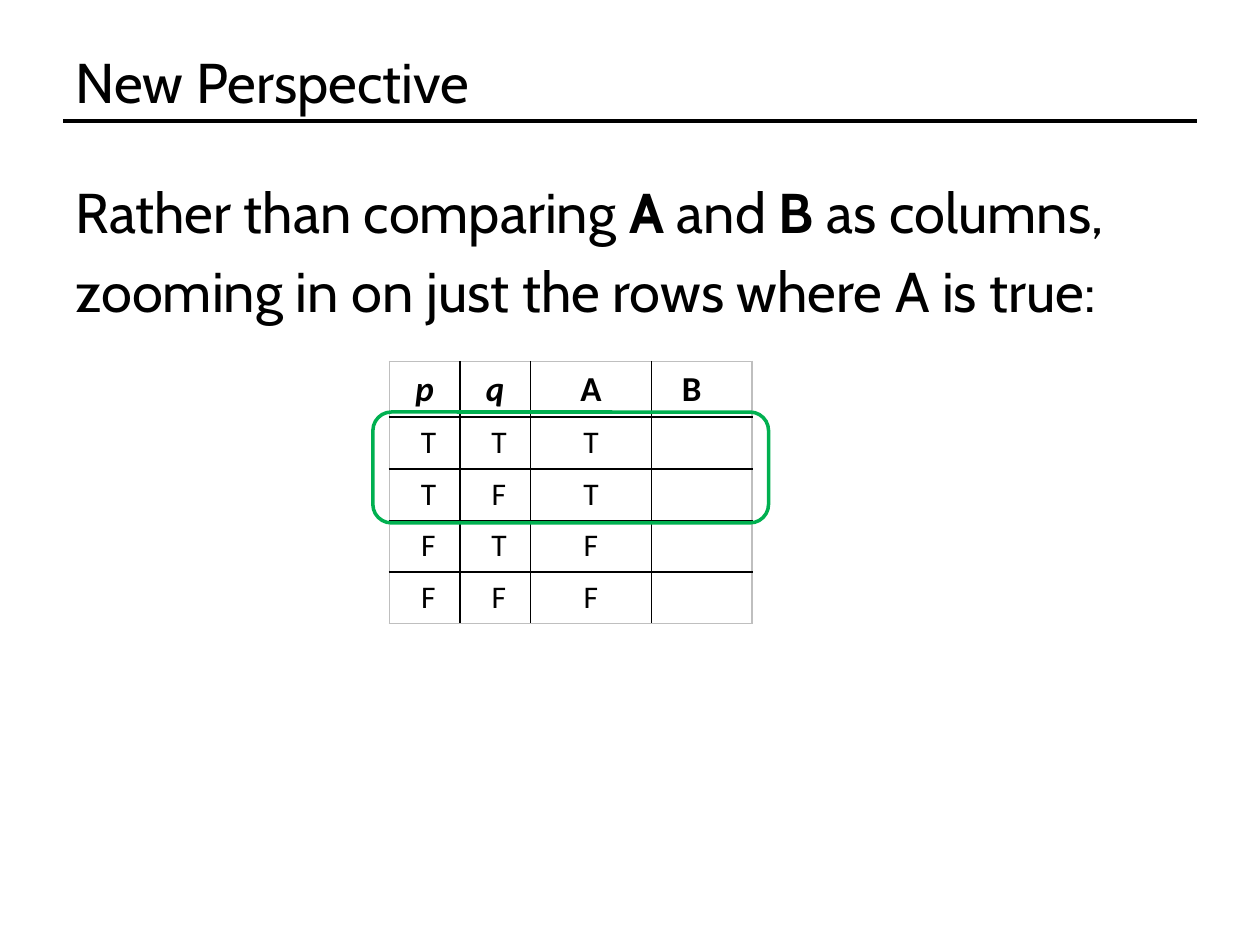
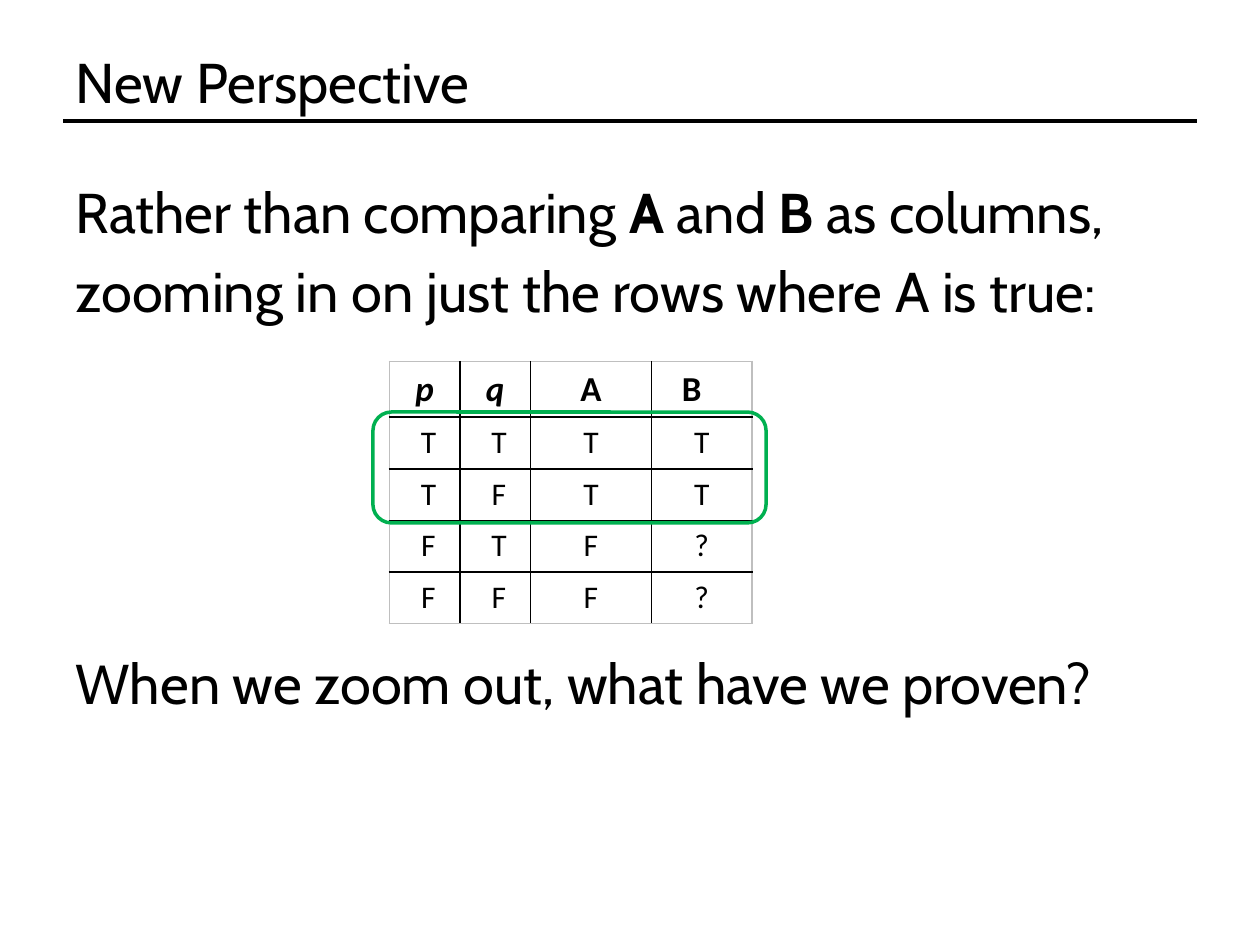
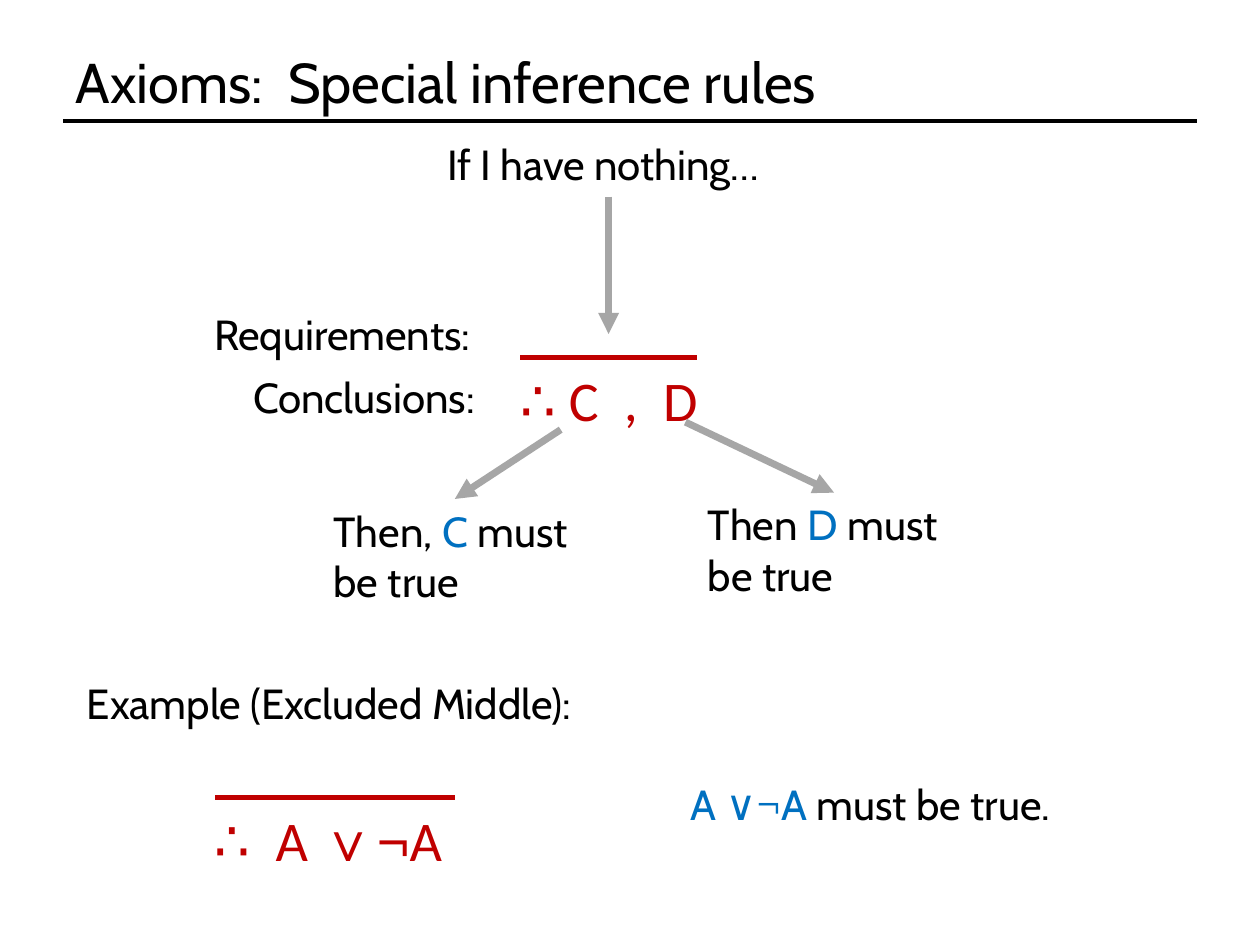
import dataclasses
import typing

import lxml.etree
import pptx
import pptx.dml.color
import pptx.enum.shapes
import pptx.enum.text
import pptx.oxml
import pptx.oxml.ns
import pptx.util

Inches = pptx.util.Inches
Pt = pptx.util.Pt
ALIGN = pptx.enum.text.PP_ALIGN
ANCHOR = pptx.enum.text.MSO_ANCHOR

BLACK, GREY, RED, BLUE, GREEN = "000000", "A6A6A6", "C00000", "0070C0", "00B050"
FRAME_GREY = "BFBFBF"
TEXT_FONT, LOGIC_FONT, SYMBOL_FONT = "Cabin", "Calibri", "Arial"
TITLE_SIZE, LABEL_SIZE = 32, 24

TITLE_AND_BODY, TITLE_ONLY = 1, 5
LINE_GAP, TABLE_GAP = 6.8, 185.7

COLUMN_WIDTHS = (0.56, 0.56, 0.96, 0.8)
ROW_HEIGHT = 0.41
HEADINGS = ("p", "q", "A", "B")
TRUTH_ROWS = ("TTT", "TFT", "FTF", "FFF")


@dataclasses.dataclass(frozen=True)
class Run:
    text: str
    color: str = BLACK
    bold: bool = False
    font: str = TEXT_FONT


@dataclasses.dataclass(frozen=True)
class Label:
    left: float
    top: float
    width: float
    height: float
    runs: tuple[Run, ...]
    size: int = LABEL_SIZE
    centred: bool = False


@dataclasses.dataclass(frozen=True)
class Line:
    start: tuple[float, float]
    end: tuple[float, float]
    color: str
    weight: float
    arrow: bool = False


TITLE_RULE = Line((0.5, 0.96), (9.5, 0.96), BLACK, 2)

INTRODUCTION = (
    (Run("Rather than comparing "), Run("A", bold=True), Run(" and "),
     Run("B", bold=True), Run(" as columns,")),
    (Run("zooming in on just the rows where A is true:"),),
)
QUESTION = (Run("When we zoom out, what have we proven?"),)

AXIOM_LABELS = (
    Label(4.02, 2.85, 1.63, 0.64, (Run("∴ C  ,  D", RED, font=LOGIC_FONT),),
          TITLE_SIZE, True),
    Label(1.58, 6.34, 2.05, 0.64,
          (Run("∴  A ", RED, font=LOGIC_FONT), Run("∨¬", RED, font=SYMBOL_FONT),
           Run("A", RED, font=LOGIC_FONT)), TITLE_SIZE, True),
    Label(1.6, 2.4, 2.32, 0.5, (Run("Requirements:"),)),
    Label(1.91, 2.9, 2.01, 0.5, (Run("Conclusions:"),)),
    Label(3.45, 1.05, 2.76, 0.5, (Run("If I have nothing…"),)),
    Label(0.59, 5.33, 4.15, 0.5, (Run("Example (Excluded Middle):"),)),
    Label(5.38, 6.13, 3.15, 0.5, (Run("A ∨¬A ", BLUE), Run("must be true."))),
    Label(5.52, 3.91, 2.19, 0.91,
          (Run("Then "), Run("D ", BLUE), Run("must be true"))),
    Label(2.55, 3.96, 2.13, 0.91,
          (Run("Then, "), Run("C", BLUE), Run(" must be true"))),
)
AXIOM_LINES = (
    Line((4.13, 2.84), (5.53, 2.84), RED, 3),
    Line((1.71, 6.33), (3.61, 6.33), RED, 3),
    Line((4.45, 3.41), (3.61, 3.96), GREY, 4, arrow=True),
    Line((5.44, 3.35), (6.62, 3.91), GREY, 4, arrow=True),
    Line((4.83, 1.56), (4.83, 2.65), GREY, 4, arrow=True),
)


def rgb(color: str) -> pptx.dml.color.RGBColor:
    return pptx.dml.color.RGBColor.from_string(color)


def add_element(parent: typing.Any, tag: str, **attributes: str) -> typing.Any:
    element = lxml.etree.SubElement(parent, pptx.oxml.ns.qn(tag))
    for name, value in attributes.items():
        element.set(name, value)
    return element


def write(paragraph: typing.Any, text: str, *, size: float, color: str = BLACK,
          font: str = TEXT_FONT, bold: bool = False, italic: bool = False) -> None:
    run = paragraph.add_run()
    run.text = text
    run.font.name = font
    run.font.size = Pt(size)
    run.font.color.rgb = rgb(color)
    run.font.bold = bold
    run.font.italic = italic


def write_runs(paragraph: typing.Any, runs: tuple[Run, ...], size: float) -> None:
    for run in runs:
        write(paragraph, run.text, size=size, color=run.color,
              font=run.font, bold=run.bold)


def place(shape: typing.Any, left: float, top: float, width: float, height: float) -> None:
    shape.left, shape.top = Inches(left), Inches(top)
    shape.width, shape.height = Inches(width), Inches(height)


def draw_line(slide: typing.Any, line: Line) -> None:
    connector = slide.shapes.add_connector(
        pptx.enum.shapes.MSO_CONNECTOR.STRAIGHT,
        *map(Inches, line.start + line.end))
    connector.line.color.rgb = rgb(line.color)
    connector.line.width = Pt(line.weight)
    if line.arrow:
        add_element(connector.line._get_or_add_ln(), "a:tailEnd", type="triangle")
    add_element(connector._element.spPr, "a:effectLst")


def draw_label(slide: typing.Any, label: Label) -> None:
    box = slide.shapes.add_textbox(
        *map(Inches, (label.left, label.top, label.width, label.height)))
    box.text_frame.word_wrap = not label.centred
    paragraph = box.text_frame.paragraphs[0]
    paragraph.alignment = ALIGN.CENTER if label.centred else ALIGN.LEFT
    write_runs(paragraph, label.runs, label.size)


def add_titled_slide(presentation: typing.Any, layout: int, title: str) -> typing.Any:
    slide = presentation.slides.add_slide(presentation.slide_layouts[layout])
    shape = slide.shapes.title
    place(shape, 0.5, 0.3, 9, 0.66)
    frame = shape.text_frame
    frame.auto_size = pptx.enum.text.MSO_AUTO_SIZE.NONE
    frame.vertical_anchor = ANCHOR.BOTTOM
    frame.paragraphs[0].alignment = ALIGN.LEFT
    write(frame.paragraphs[0], title, size=TITLE_SIZE)
    draw_line(slide, TITLE_RULE)
    return slide


def fill_body(slide: typing.Any, question: bool) -> None:
    body = slide.placeholders[1]
    place(body, 0.5, 1.36, 9, 5.62)
    frame = body.text_frame
    frame.auto_size = pptx.enum.text.MSO_AUTO_SIZE.NONE
    lines = INTRODUCTION + ((QUESTION,) if question else ())
    for runs, gap in zip(lines, (0, LINE_GAP, TABLE_GAP)):
        paragraph = frame.add_paragraph() if gap else frame.paragraphs[0]
        paragraph.space_before = Pt(gap)
        properties = paragraph._p.get_or_add_pPr()
        properties.set("marL", "0")
        properties.set("indent", "0")
        add_element(properties, "a:buNone")
        write_runs(paragraph, runs, TITLE_SIZE)


def set_borders(cell: typing.Any, outer_sides: dict[str, bool]) -> None:
    """Draw the four sides, grey where a side lies on the table's frame."""
    properties = cell._tc.get_or_add_tcPr()
    for index, (side, is_outer) in enumerate(outer_sides.items()):
        border = pptx.oxml.parse_xml(
            f'<a:{side} {pptx.oxml.ns.nsdecls("a")} w="{Pt(1)}"/>')
        fill = add_element(border, "a:solidFill")
        add_element(fill, "a:srgbClr", val=FRAME_GREY if is_outer else BLACK)
        properties.insert(index, border)


def draw_truth_table(slide: typing.Any, b_values: str) -> None:
    rows = [HEADINGS] + [tuple(row) + (b,) for row, b in zip(TRUTH_ROWS, b_values)]
    last_row, last_column = len(rows) - 1, len(COLUMN_WIDTHS) - 1
    table = slide.shapes.add_table(
        len(rows), len(COLUMN_WIDTHS), Inches(3.09), Inches(2.87),
        Inches(sum(COLUMN_WIDTHS)), Inches(ROW_HEIGHT * len(rows))).table
    table.first_row = table.horz_banding = False
    for column, width in zip(table.columns, COLUMN_WIDTHS):
        column.width = Inches(width)
    for row_index, values in enumerate(rows):
        table.rows[row_index].height = Inches(ROW_HEIGHT)
        is_heading = row_index == 0
        for column_index, value in enumerate(values):
            is_variable = column_index < 2
            cell = table.cell(row_index, column_index)
            cell.fill.background()
            if is_heading and column_index == last_column:
                cell.margin_right = Inches(0.26)
            elif is_variable and not is_heading:
                cell.margin_left = Inches(0.16)
            set_borders(cell, {
                "lnL": column_index == 0, "lnR": column_index == last_column,
                "lnT": is_heading, "lnB": row_index == last_row})
            paragraph = cell.text_frame.paragraphs[0]
            paragraph.alignment = ALIGN.CENTER
            if value.strip():
                write(paragraph, value, size=20 if is_heading else 18,
                      font=LOGIC_FONT, bold=is_heading,
                      italic=is_heading and is_variable)


def draw_true_rows_outline(slide: typing.Any, width: float) -> None:
    outline = slide.shapes.add_shape(
        pptx.enum.shapes.MSO_SHAPE.ROUNDED_RECTANGLE,
        Inches(2.96), Inches(3.27), Inches(width), Inches(0.88))
    outline.shadow.inherit = False
    outline.fill.background()
    outline.line.color.rgb = rgb(GREEN)
    outline.line.width = Pt(2)


def add_perspective_slide(presentation: typing.Any, b_values: str,
                          outline_width: float, question: bool) -> None:
    slide = add_titled_slide(presentation, TITLE_AND_BODY, "New Perspective")
    fill_body(slide, question)
    draw_truth_table(slide, b_values)
    draw_true_rows_outline(slide, outline_width)


def add_axioms_slide(presentation: typing.Any) -> None:
    slide = add_titled_slide(presentation, TITLE_ONLY, "Axioms:  Special inference rules")
    for label in AXIOM_LABELS:
        draw_label(slide, label)
    for line in AXIOM_LINES:
        draw_line(slide, line)


def main() -> None:
    presentation = pptx.Presentation()
    presentation.slide_width, presentation.slide_height = Inches(10), Inches(7.5)
    add_perspective_slide(presentation, "    ", 3.14, question=False)
    add_perspective_slide(presentation, "TT??", 3.12, question=True)
    add_axioms_slide(presentation)
    presentation.save("out.pptx")


if __name__ == "__main__":
    main()
